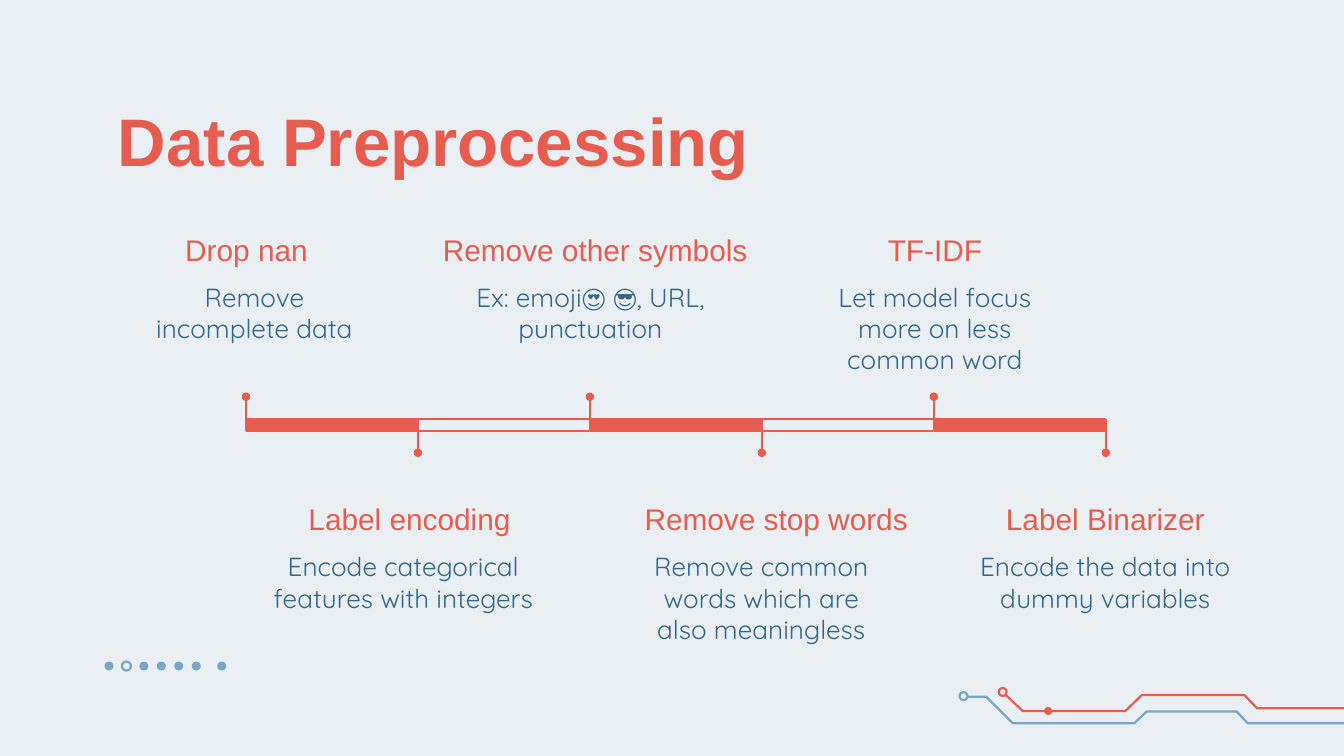
from dataclasses import dataclass

from lxml import etree
from pptx import Presentation
from pptx.dml.color import RGBColor
from pptx.enum import shapes, text
from pptx.oxml import ns
from pptx.util import Cm, Pt


@dataclass
class Theme:
    back = RGBColor.from_string("EAEFF3")
    red = RGBColor.from_string("E65C4F")
    blue = RGBColor.from_string("78A6C9")
    ink = RGBColor.from_string("33678A")
    title = Pt(36)
    head = Pt(16)
    body = Pt(14)
    thin = Pt(0.75)
    trace = Pt(1.2)
    sans = "Arial"
    round = "Quicksand"


theme = Theme()
deck = Presentation()
deck.slide_width, deck.slide_height = Cm(25.4), Cm(14.29)
slide = deck.slides.add_slide(deck.slide_layouts[5])
slide.background.fill.solid()
slide.background.fill.fore_color.rgb = theme.back


def add_dot(x, y, size, color, hollow=False):
    dot = slide.shapes.add_shape(
        shapes.MSO_SHAPE.OVAL, Cm(x - size / 2), Cm(y - size / 2), Cm(size), Cm(size)
    )
    dot.shadow.inherit = False
    if hollow:
        dot.fill.background()
        dot.line.color.rgb = color
        dot.line.width = theme.trace
    else:
        dot.fill.solid()
        dot.fill.fore_color.rgb = color
        dot.line.fill.background()


def write(box, words, font, size, color, align, anchor, bold=False):
    frame = box.text_frame
    frame.word_wrap = True
    frame.auto_size = text.MSO_AUTO_SIZE.NONE
    frame.vertical_anchor = anchor
    frame.margin_left = frame.margin_right = Cm(0.25)
    frame.margin_top = frame.margin_bottom = Cm(0.25)
    frame.text = words
    line = frame.paragraphs[0]
    line.alignment = align
    line.font.name = font
    line.font.size = size
    line.font.bold = bold
    line.font.color.rgb = color


for i in range(6):
    add_dot(2.06 + 0.33 * i, 12.59, 0.17, theme.blue, hollow=i == 1)
add_dot(4.19, 12.59, 0.17, theme.blue)

traces = [
    (theme.blue, [(18.29, 13.17), (18.64, 13.17), (19.14, 13.67), (21.44, 13.67),
                  (21.67, 13.45), (23.37, 13.45), (23.58, 13.67), (25.4, 13.67)]),
    (theme.red, [(18.99, 13.12), (19.33, 13.44), (21.27, 13.44), (21.58, 13.14),
                 (23.52, 13.14), (23.76, 13.39), (25.4, 13.39)]),
]
for color, spots in traces:
    spots = [(Cm(x), Cm(y)) for x, y in spots]
    pen = slide.shapes.build_freeform(*spots[0])
    pen.add_line_segments(spots[1:], close=False)
    trace = pen.convert_to_shape()
    trace.shadow.inherit = False
    trace.fill.background()
    trace.line.color.rgb = color
    trace.line.width = theme.trace
add_dot(18.21, 13.16, 0.15, theme.blue, hollow=True)
add_dot(18.95, 13.08, 0.15, theme.red, hollow=True)
add_dot(19.81, 13.44, 0.15, theme.red)

title = slide.shapes.title
title.left, title.top, title.width, title.height = Cm(1.98), Cm(1.5), Cm(21.56), Cm(1.7)
write(title, "Data Preprocessing", theme.sans, theme.title, theme.red,
      text.PP_ALIGN.LEFT, text.MSO_ANCHOR.TOP, bold=True)
title.text_frame.margin_top = Cm(0.38)

steps = [
    ("Drop nan", 2.03, 5.26, "Remove\vincomplete data", 2.18, 5.26),
    ("Label encoding", 4.83, 5.82, "Encode categorical features with integers", 4.83, 5.59),
    ("Remove other symbols", 7.95, 6.6, "Ex: emoji😍 😎, URL, punctuation", 8.53, 5.26),
    ("Remove stop words", 11.76, 5.82,
     "Remove common words which are also meaningless", 11.76, 5.26),
    ("TF-IDF", 15.04, 5.26, "Let model focus more on less common word", 15.04, 5.26),
    ("Label Binarizer", 18.26, 5.26, "Encode the data into dummy variables", 18.26, 5.26),
]
start, pitch, top, thick = 4.65, 3.25, 7.92, 0.23

for i in range(5):
    bar = slide.shapes.add_shape(
        shapes.MSO_SHAPE.RECTANGLE, Cm(start + pitch * i), Cm(top), Cm(pitch), Cm(thick)
    )
    bar.shadow.inherit = False
    bar.fill.solid()
    bar.fill.fore_color.rgb = theme.back if i % 2 else theme.red
    bar.line.color.rgb = theme.red
    bar.line.width = theme.thin

for i, (head, left, width, note, inset, span) in enumerate(steps):
    x = start + pitch * i
    tip, base, row = (8.56, top, 9.19) if i % 2 else (7.5, top + thick, 4.09)
    stem = slide.shapes.add_connector(
        shapes.MSO_CONNECTOR.STRAIGHT, Cm(x), Cm(tip), Cm(x), Cm(base)
    )
    stem.line.color.rgb = theme.red
    stem.line.width = theme.thin
    etree.SubElement(stem.element.spPr, ns.qn("a:effectLst"))
    add_dot(x, tip, 0.16, theme.red)

    box = slide.shapes.add_textbox(Cm(left), Cm(row), Cm(width), Cm(1.24))
    write(box, head, theme.sans, theme.head, theme.red,
          text.PP_ALIGN.CENTER, text.MSO_ANCHOR.MIDDLE)
    box = slide.shapes.add_textbox(Cm(inset), Cm(row + 0.97), Cm(span), Cm(1.8))
    write(box, note, theme.round, theme.body, theme.ink,
          text.PP_ALIGN.CENTER, text.MSO_ANCHOR.TOP)

deck.save("out.pptx")
